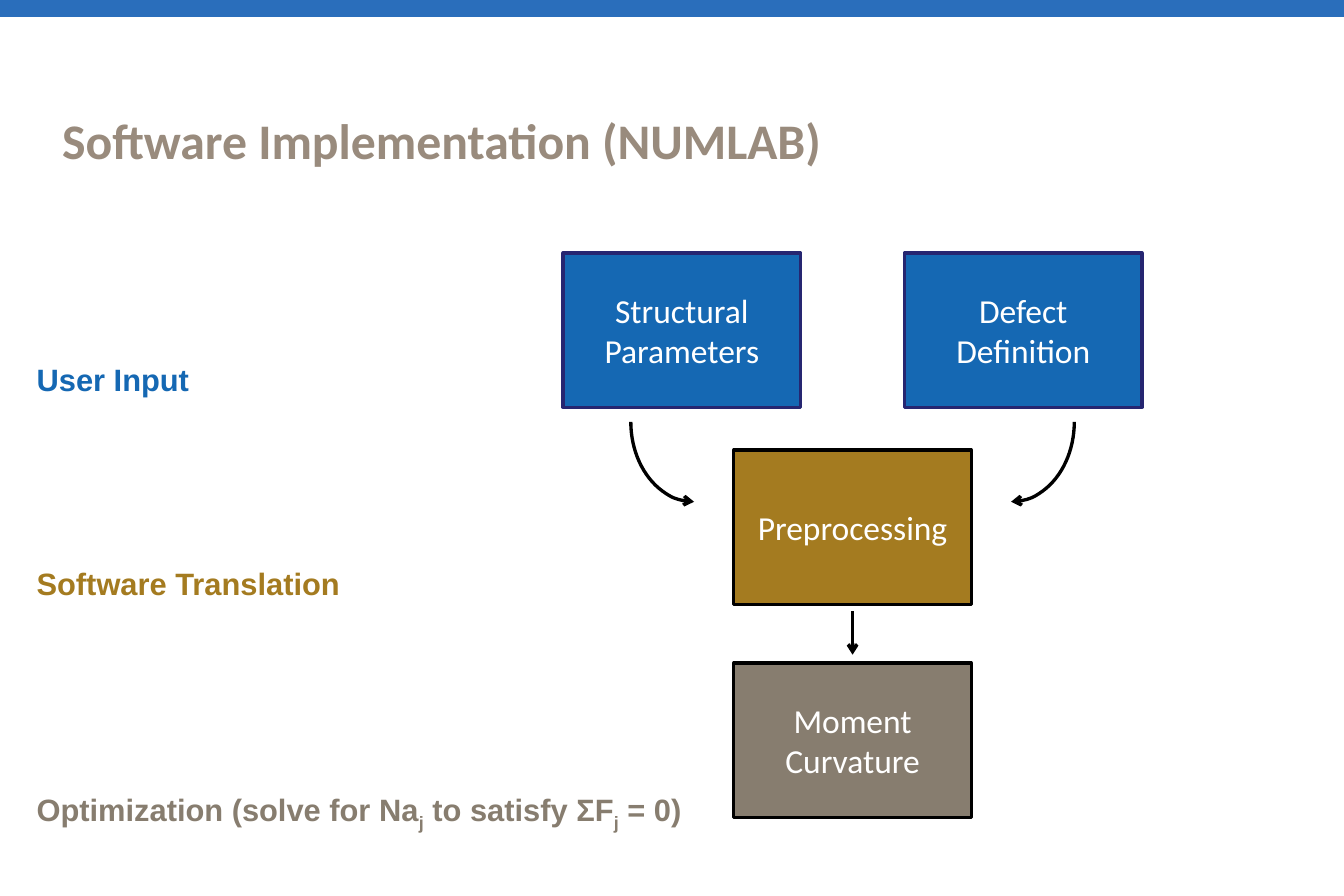
from lxml.etree import SubElement
from pptx import Presentation
from pptx.dml.color import RGBColor
from pptx.enum.shapes import MSO_CONNECTOR, MSO_SHAPE
from pptx.enum.text import MSO_ANCHOR, MSO_AUTO_SIZE, PP_ALIGN
from pptx.oxml.ns import qn
from pptx.util import Cm, Pt

BLUE, GOLD, GREY = "1568B3", "A47B20", "877D6F"
BLACK, NAVY, WHITE = "000000", "262671", "FFFFFF"
BOX_WIDTH, BOX_HEIGHT = 5.05, 3.28


def color(value):
    return RGBColor.from_string(value)


def set_font(paragraph, name, size, value, bold=False):
    font = paragraph.font
    font.name, font.size, font.bold = name, Pt(size), bold
    font.color.rgb = color(value)


def set_line(shape, value, arrow=False):
    shape.line.color.rgb = color(value)
    shape.line.width = Pt(2)
    if arrow:
        line = shape.element.spPr.find(qn("a:ln"))
        SubElement(line, qn("a:tailEnd")).set("type", "arrow")


def add_top_bar(slide, width):
    bar = slide.shapes.add_shape(MSO_SHAPE.RECTANGLE, 0, 0, width, Cm(0.36))
    bar.shadow.inherit = False
    bar.fill.solid()
    bar.fill.fore_color.rgb = color("2A6EBB")
    bar.line.fill.background()


def add_title(slide, left, top, width, height):
    title = slide.shapes.title
    title.left, title.top, title.width, title.height = map(Cm, (left, top, width, height))
    frame = title.text_frame
    frame.text = "Software Implementation (NUMLAB)"
    frame.margin_left = frame.margin_right = frame.margin_top = frame.margin_bottom = 0
    frame.vertical_anchor = MSO_ANCHOR.TOP
    frame.auto_size = MSO_AUTO_SIZE.NONE
    paragraph = frame.paragraphs[0]
    paragraph.alignment = PP_ALIGN.LEFT
    paragraph.line_spacing = 0.9
    set_font(paragraph, "Calibri", 30, "998B7D", bold=True)


def add_stage_labels(slide, left, top, width, height):
    # Each stage is a list of runs; every second run is a subscript
    stages = [
        (["User Input"], BLUE),
        (["Software Translation"], GOLD),
        (["Optimization (solve for Na", "j", " to satisfy ΣF", "j", " = 0)"], GREY),
    ]
    frame = slide.shapes.add_textbox(Cm(left), Cm(top), Cm(width), Cm(height)).text_frame
    frame.word_wrap = True
    frame.auto_size = MSO_AUTO_SIZE.SHAPE_TO_FIT_TEXT
    for index, (texts, value) in enumerate(stages):
        paragraph = frame.add_paragraph() if index else frame.paragraphs[0]
        paragraph.line_spacing = 5.5
        set_font(paragraph, "Arial", 18.6, value, bold=True)
        for position, text in enumerate(texts):
            run = paragraph.add_run()
            run.text = text
            if position % 2:
                run._r.get_or_add_rPr().set("baseline", "-25000")


def add_box(slide, center, top, text, fill, outline):
    box = slide.shapes.add_shape(MSO_SHAPE.RECTANGLE, Cm(center - BOX_WIDTH / 2), Cm(top),
                                 Cm(BOX_WIDTH), Cm(BOX_HEIGHT))
    box.shadow.inherit = False
    box.fill.solid()
    box.fill.fore_color.rgb = color(fill)
    set_line(box, outline)
    frame = box.text_frame
    frame.word_wrap = True
    frame.vertical_anchor = MSO_ANCHOR.MIDDLE
    frame.text = text
    paragraph = frame.paragraphs[0]
    paragraph.alignment = PP_ALIGN.CENTER
    set_font(paragraph, "Calibri", 20.2, WHITE)


def add_curved_arrow(slide, center, middle, mirrored):
    width, height = 3.4, 2.69
    arc = slide.shapes.add_shape(MSO_SHAPE.ARC, Cm(center - width / 2), Cm(middle - height / 2),
                                 Cm(width), Cm(height))
    arc.shadow.inherit = False
    arc.fill.background()
    arc.rotation = 270 if mirrored else 90
    if mirrored:
        arc.element.spPr.find(qn("a:xfrm")).set("flipH", "1")
    set_line(arc, BLACK, arrow=True)


def add_flowchart(slide, center, top):
    preprocessing_top, moment_top = top + 4.19, top + 8.72
    # Boxes
    add_box(slide, center, preprocessing_top, "Preprocessing", GOLD, BLACK)
    add_box(slide, center - 3.63, top, "Structural Parameters", BLUE, NAVY)
    add_box(slide, center + 3.63, top, "Defect Definition", BLUE, NAVY)
    add_box(slide, center, moment_top, "Moment Curvature", GREY, BLACK)
    # Arrows from the two inputs
    for side in (1, -1):
        add_curved_arrow(slide, center + side * 3.37, top + 3.59, mirrored=side < 0)
    # Arrow down to the last box
    arrow = slide.shapes.add_connector(
        MSO_CONNECTOR.STRAIGHT, Cm(center), Cm(preprocessing_top + BOX_HEIGHT + 0.15),
        Cm(center), Cm(moment_top - 0.18))
    set_line(arrow, BLACK, arrow=True)
    SubElement(arrow.element.spPr, qn("a:effectLst"))


def main():
    presentation = Presentation()
    presentation.slide_width, presentation.slide_height = Cm(28.58), Cm(19.05)
    slide = presentation.slides.add_slide(presentation.slide_layouts[5])
    add_top_bar(slide, presentation.slide_width)
    add_title(slide, 1.32, 2.48, 24.64, 3.1)
    add_flowchart(slide, 18.13, 5.38)
    add_stage_labels(slide, 0.53, 4.01, 15.39, 13.34)
    presentation.save("out.pptx")


if __name__ == "__main__":
    main()
